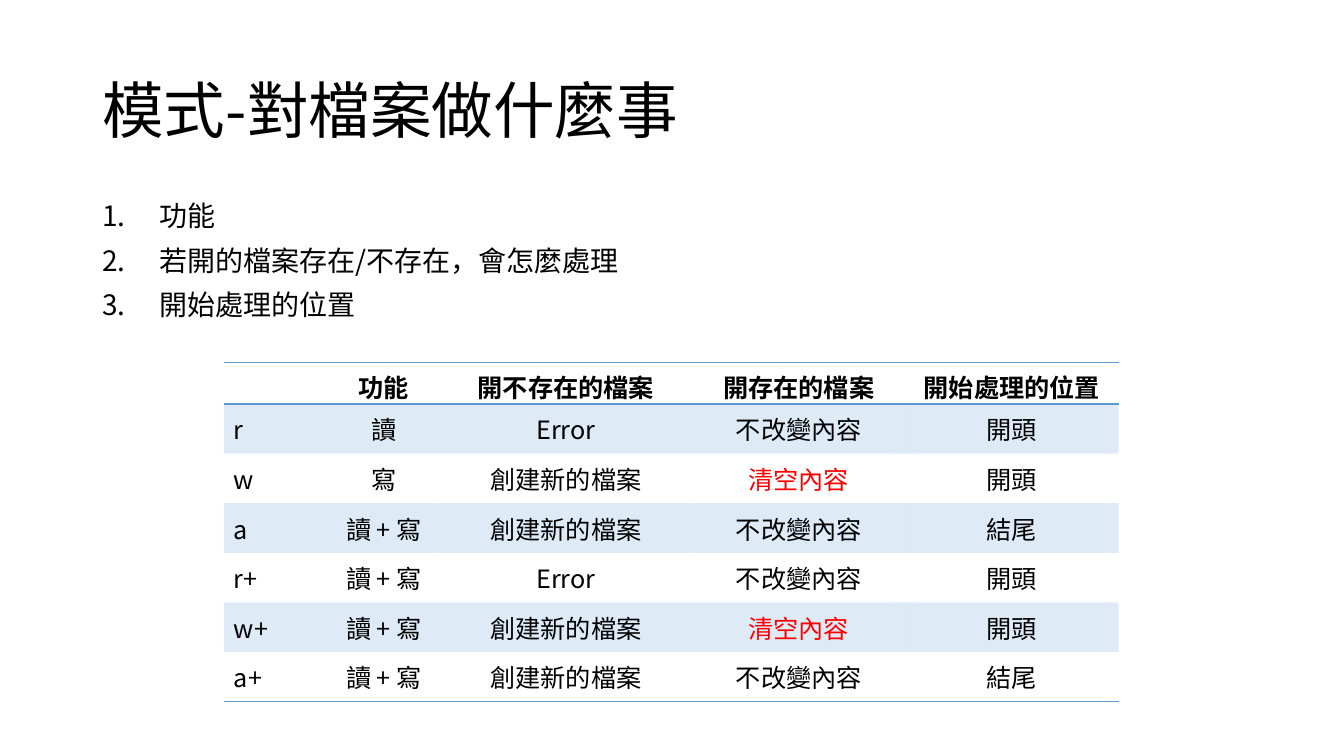
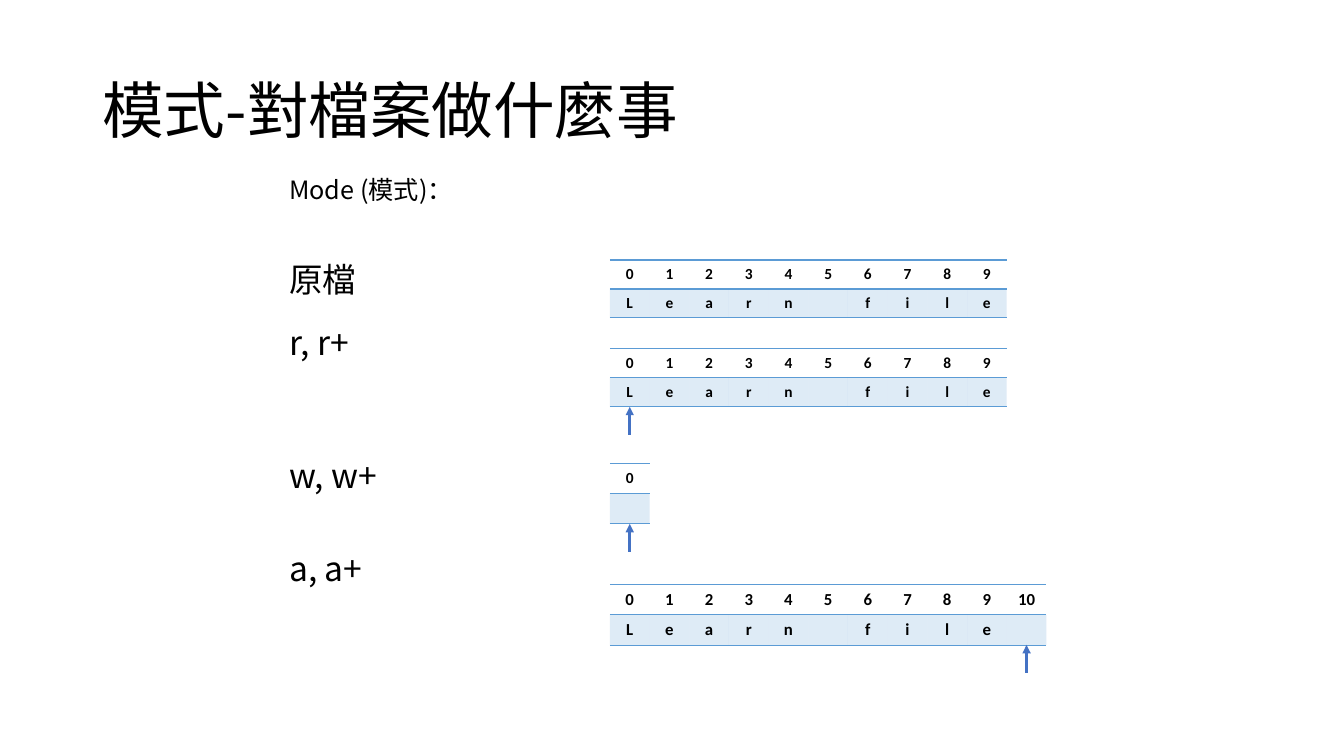
import dataclasses
import typing

import lxml.etree
import pptx
import pptx.dml.color
import pptx.enum.shapes
import pptx.enum.text
import pptx.oxml.ns
import pptx.shapes.autoshape
import pptx.slide
import pptx.table
import pptx.text.text
import pptx.util

Cm = pptx.util.Cm
CENTER = pptx.enum.text.PP_ALIGN.CENTER
LEFT = pptx.enum.text.PP_ALIGN.LEFT
MIDDLE = pptx.enum.text.MSO_ANCHOR.MIDDLE
TOP = pptx.enum.text.MSO_ANCHOR.TOP
PLAIN_TABLE_STYLE = "{2D5ABB26-0587-4C30-8999-92F81FD0307C}"


@dataclasses.dataclass(frozen=True)
class Theme:
    ink: str = "000000"
    warning: str = "FF0000"
    rule: str = "5B9BD5"
    pointer: str = "4472C4"
    band_opacity: int = 20
    cjk_font: str = "Noto Sans CJK JP"
    index_font: str = "Calibri"
    title_size: float = 44
    mode_size: float = 24
    list_size: float = 20
    body_size: float = 18
    rule_width: float = 1
    pointer_width: float = 2


THEME = Theme()


@dataclasses.dataclass(frozen=True)
class TextStyle:
    size: float
    font: str = THEME.cjk_font
    color: str = THEME.ink
    bold: bool = False


@dataclasses.dataclass(frozen=True)
class Box:
    left: float
    top: float
    width: float
    height: float

    def lengths(self) -> list[pptx.util.Length]:
        return [Cm(value) for value in dataclasses.astuple(self)]


@dataclasses.dataclass(frozen=True)
class Line:
    text: str
    style: TextStyle
    format: dict[str, typing.Any] = dataclasses.field(default_factory=dict)


@dataclasses.dataclass(frozen=True)
class FileState:
    top: float
    content: str
    row_height: float
    size: float = 11
    pointer_index: int | None = None


TITLE = "模式-對檔案做什麼事"
TITLE_BOX = Box(2.33, 1.02, 29.21, 3.68)
QUESTIONS = ["功能", "若開的檔案存在/不存在，會怎麼處理", "開始處理的位置"]
QUESTION_BOX = Box(2.33, 4.98, 29.21, 12.09)
QUESTION_INDENT = 1.43

MODE_ROWS = [
    ["", "功能", "開不存在的檔案", "開存在的檔案", "開始處理的位置"],
    ["r", "讀", "Error", "不改變內容", "開頭"],
    ["w", "寫", "創建新的檔案", "清空內容", "開頭"],
    ["a", "讀 + 寫", "創建新的檔案", "不改變內容", "結尾"],
    ["r+", "讀 + 寫", "Error", "不改變內容", "開頭"],
    ["w+", "讀 + 寫", "創建新的檔案", "清空內容", "開頭"],
    ["a+", "讀 + 寫", "創建新的檔案", "不改變內容", "結尾"],
]
MODE_COLUMNS = [2.64, 2.79, 6.38, 5.36, 5.38]
DESTRUCTIVE = "清空內容"

MODE_LABEL_BOX = Box(7.04, 4.39, 7.82, 11.53)
MODE_LABELS = [("原檔", 38.6), ("r, r+", 16.7), ("w, w+", 66), ("a, a+", 37.4)]
FILE_LEFT = 15.37
CHARACTER_WIDTH = 1.0
POINTER_LENGTH = 0.71
FILE_STATES = [
    FileState(6.55, "Learn file", 0.73),
    FileState(8.79, "Learn file", 0.73, pointer_index=0),
    FileState(11.68, " ", 0.76, pointer_index=0),
    FileState(14.73, "Learn file ", 0.76, size=12, pointer_index=10),
]


def apply(target: typing.Any, values: dict[str, typing.Any]) -> None:
    for attribute, value in values.items():
        setattr(target, attribute, value)


def rgb(color: str) -> pptx.dml.color.RGBColor:
    return pptx.dml.color.RGBColor.from_string(color)


def add_xml(parent: typing.Any, tag: str, **attributes: str) -> typing.Any:
    return lxml.etree.SubElement(parent, pptx.oxml.ns.qn(tag), attributes)


def write(paragraph: typing.Any, text: str, style: TextStyle) -> None:
    if not text:
        size = str(int(style.size * 100))
        paragraph._p.get_or_add_endParaRPr().set("sz", size)
        return
    run = paragraph.add_run()
    run.text = text
    apply(run.font, {"name": style.font, "size": pptx.util.Pt(style.size), "bold": style.bold})
    run.font.color.rgb = rgb(style.color)
    add_xml(run._r.get_or_add_rPr(), "a:ea", typeface=style.font)


def add_lines(
    slide: pptx.slide.Slide, box: Box, lines: list[Line], frame_format: dict[str, typing.Any]
) -> pptx.text.text.TextFrame:
    frame = slide.shapes.add_textbox(*box.lengths()).text_frame
    apply(frame, {"word_wrap": True, **frame_format})
    for position, line in enumerate(lines):
        paragraph = frame.add_paragraph() if position else frame.paragraphs[0]
        apply(paragraph, line.format)
        write(paragraph, line.text, line.style)
    return frame


def add_titled_slide(deck: typing.Any) -> pptx.slide.Slide:
    slide = deck.slides.add_slide(deck.slide_layouts[6])
    title = Line(TITLE, TextStyle(THEME.title_size), {"line_spacing": 0.9})
    add_lines(slide, TITLE_BOX, [title], {"vertical_anchor": MIDDLE})
    return slide


def add_plain_table(
    slide: pptx.slide.Slide,
    left: float,
    top: float,
    columns: list[float],
    rows: list[float],
) -> pptx.table.Table:
    box = Box(left, top, sum(columns), sum(rows))
    table = slide.shapes.add_table(len(rows), len(columns), *box.lengths()).table
    apply(table, {"first_row": False, "horz_banding": False})
    table._tbl.tblPr.find(pptx.oxml.ns.qn("a:tableStyleId")).text = PLAIN_TABLE_STYLE
    for column, width in zip(table.columns, columns):
        column.width = Cm(width)
    for row, height in zip(table.rows, rows):
        row.height = Cm(height)
    return table


def format_cell(cell: typing.Any, edges: list[str], banded: bool) -> None:
    properties = cell._tc.get_or_add_tcPr()
    for edge in edges:
        width = str(pptx.util.Pt(THEME.rule_width))
        border = add_xml(properties, f"a:{edge}", w=width)
        add_xml(add_xml(border, "a:solidFill"), "a:srgbClr", val=THEME.rule)
    if not banded:
        cell.fill.background()
        return
    cell.fill.solid()
    cell.fill.fore_color.rgb = rgb(THEME.rule)
    tint = properties.find(".//" + pptx.oxml.ns.qn("a:solidFill") + "[last()]/..")
    fill = properties.find(pptx.oxml.ns.qn("a:solidFill"))
    add_xml(fill[0], "a:alpha", val=str(THEME.band_opacity * 1000))


def fill_table(
    table: pptx.table.Table,
    texts: list[list[str]],
    style_of: typing.Callable[[int, str], TextStyle],
    left_column: int | None = None,
    body_anchor: typing.Any = TOP,
) -> None:
    for row, row_texts in enumerate(texts):
        edges = ["lnT"] if row == 0 else []
        if row in (0, len(texts) - 1):
            edges.append("lnB")
        for column, text in enumerate(row_texts):
            cell = table.cell(row, column)
            cell.vertical_anchor = body_anchor if row else TOP
            paragraph = cell.text_frame.paragraphs[0]
            paragraph.alignment = LEFT if column == left_column else CENTER
            write(paragraph, text, style_of(row, text))
            format_cell(cell, edges, banded=row % 2 == 1)


def mode_style(row: int, text: str) -> TextStyle:
    color = THEME.warning if text == DESTRUCTIVE else THEME.ink
    return TextStyle(THEME.body_size, color=color, bold=row == 0)


def add_pointer(slide: pptx.slide.Slide, x: float, top: float) -> None:
    pointer = slide.shapes.add_connector(
        pptx.enum.shapes.MSO_CONNECTOR.STRAIGHT,
        Cm(x), Cm(top), Cm(x), Cm(top + POINTER_LENGTH),
    )
    pointer.line.color.rgb = rgb(THEME.pointer)
    pointer.line.width = pptx.util.Pt(THEME.pointer_width)
    add_xml(pointer.line._get_or_add_ln(), "a:headEnd", type="triangle")
    add_xml(pointer._element.spPr, "a:effectLst")


def add_file_state(slide: pptx.slide.Slide, state: FileState) -> None:
    length = len(state.content)
    table = add_plain_table(
        slide, FILE_LEFT, state.top, [CHARACTER_WIDTH] * length, [state.row_height] * 2
    )
    style = TextStyle(state.size, THEME.index_font, bold=True)
    indexes = [str(index) for index in range(length)]
    characters = [character.strip() for character in state.content]
    fill_table(table, [indexes, characters], lambda row, text: style)
    if state.pointer_index is not None:
        x = FILE_LEFT + (state.pointer_index + 0.5) * CHARACTER_WIDTH
        add_pointer(slide, x, state.top + 2 * state.row_height)


def build_mode_overview(deck: typing.Any) -> None:
    slide = add_titled_slide(deck)
    spacing = {"line_spacing": 0.9, "space_before": pptx.util.Pt(10)}
    questions = [Line(text, TextStyle(THEME.list_size), spacing) for text in QUESTIONS]
    frame = add_lines(slide, QUESTION_BOX, questions, {})
    for paragraph in frame.paragraphs:
        properties = paragraph._p.get_or_add_pPr()
        properties.set("marL", str(Cm(QUESTION_INDENT)))
        properties.set("indent", str(-Cm(QUESTION_INDENT)))
        add_xml(properties, "a:buFont", typeface="+mj-lt")
        add_xml(properties, "a:buAutoNum", type="arabicPeriod")
    heights = [1.04] + [1.25] * (len(MODE_ROWS) - 1)
    table = add_plain_table(slide, 5.64, 9.14, MODE_COLUMNS, heights)
    fill_table(table, MODE_ROWS, mode_style, left_column=0, body_anchor=MIDDLE)


def build_file_positions(deck: typing.Any) -> None:
    slide = add_titled_slide(deck)
    heading = Line("Mode (模式)：", TextStyle(THEME.body_size))
    modes = [
        Line(text, TextStyle(THEME.mode_size), {"space_before": pptx.util.Pt(gap)})
        for text, gap in MODE_LABELS
    ]
    add_lines(slide, MODE_LABEL_BOX, [heading, *modes], {"margin_top": 0})
    for state in FILE_STATES:
        add_file_state(slide, state)


def main() -> None:
    deck = pptx.Presentation()
    apply(deck, {"slide_width": Cm(33.87), "slide_height": Cm(19.05)})
    build_mode_overview(deck)
    build_file_positions(deck)
    deck.save("out.pptx")


main()
